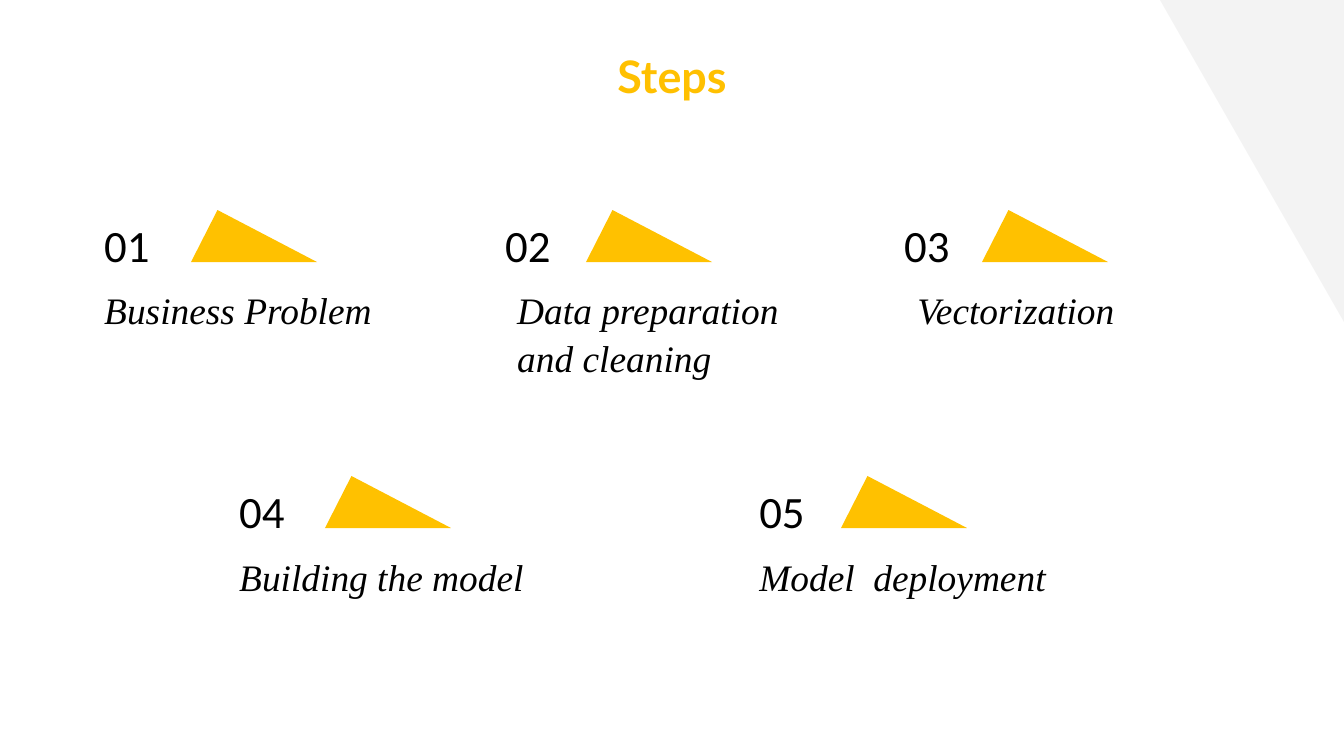
from dataclasses import dataclass

from pptx import Presentation, util as u
from pptx.dml.color import RGBColor
from pptx.enum import shapes, text

HEADING = "Steps"
ROWS = [
    [
        ("Business Problem", 91, 91, 191),
        ("Data preparation and cleaning", 492, 504, 586),
        ("Vectorization", 891, 904, 982),
    ],
    [
        ("Building the model", 226, 226, 325),
        ("Model  deployment", 746, 746, 841),
    ],
]
ROW_TOP, ROW_PITCH = 210, 266
NUMBER_DROP, CAPTION_DROP = 9, 62


@dataclass(frozen=True)
class Theme:
    amber: str = "FFC100"
    heading: str = "FFC000"
    ink: str = "000000"
    corner: str = "F3F3F3"
    large: int = 24
    small: int = 20


THEME = Theme()


def px(length):
    return u.Emu(round(length * 914400 / 134.4))


def add_triangle(slide, kind, box, color):
    triangle = slide.shapes.add_shape(kind, *map(px, box))
    triangle.shadow.inherit = False
    triangle.fill.solid()
    triangle.fill.fore_color.rgb = RGBColor.from_string(color)
    triangle.line.fill.background()
    return triangle


def add_label(slide, words, box, font, size, color, bold=False, italic=False,
              align=text.PP_ALIGN.LEFT, anchor=text.MSO_ANCHOR.TOP, spacing=1.0):
    frame = slide.shapes.add_textbox(*map(px, box)).text_frame
    frame.word_wrap = True
    frame.vertical_anchor = anchor
    frame.margin_left = frame.margin_right = u.Inches(0.1)
    frame.margin_top = frame.margin_bottom = u.Inches(0.1)
    line = frame.paragraphs[0]
    line.alignment = align
    line.line_spacing = spacing
    run = line.add_run()
    run.text = words
    run.font.name = font
    run.font.size = u.Pt(size)
    run.font.bold = bold
    run.font.italic = italic
    run.font.color.rgb = RGBColor.from_string(color)


def add_step(slide, number, step, top):
    caption, number_left, caption_left, marker_left = step
    marker = add_triangle(slide, shapes.MSO_SHAPE.ISOSCELES_TRIANGLE,
                          (marker_left, top, 126, 52), THEME.amber)
    marker.adjustments[0] = 0.21
    add_label(slide, f"{number:02}", (number_left, top + NUMBER_DROP, 159, 52),
              "Calibri", THEME.large, THEME.ink, anchor=text.MSO_ANCHOR.MIDDLE)
    add_label(slide, caption, (caption_left, top + CAPTION_DROP, 317, 52),
              "Times New Roman", THEME.small, THEME.ink, italic=True, spacing=1.05)


def main():
    deck = Presentation()
    deck.slide_width, deck.slide_height = px(1344), px(756)
    slide = deck.slides.add_slide(deck.slide_layouts[6])

    corner = add_triangle(slide, shapes.MSO_SHAPE.RIGHT_TRIANGLE,
                          (1160, 0, 184, 322), THEME.corner)
    corner.rotation = 180
    add_label(slide, HEADING, (77, 35, 1190, 85), "Lato", THEME.large,
              THEME.heading, bold=True, align=text.PP_ALIGN.CENTER)

    number = 1
    for row, steps in enumerate(ROWS):
        for step in steps:
            add_step(slide, number, step, ROW_TOP + row * ROW_PITCH)
            number += 1

    deck.save("out.pptx")


if __name__ == "__main__":
    main()
